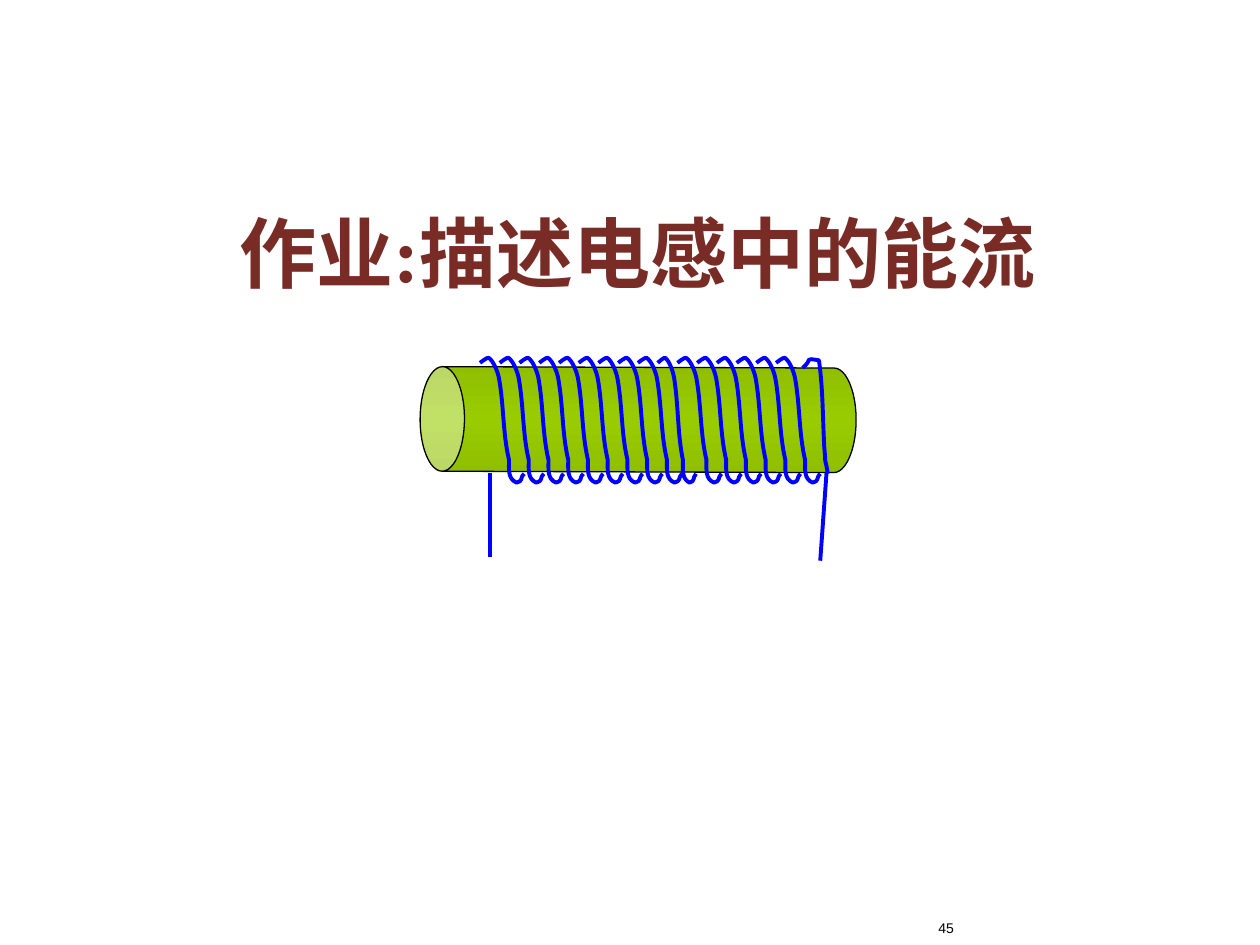
from dataclasses import dataclass

import lxml.etree
import pptx
import pptx.dml.color
import pptx.enum.shapes
import pptx.enum.text
import pptx.oxml
import pptx.oxml.ns
import pptx.util

Inches = pptx.util.Inches
Pt = pptx.util.Pt
Align = pptx.enum.text.PP_ALIGN
Anchor = pptx.enum.text.MSO_ANCHOR
qn = pptx.oxml.ns.qn

COLORS = {"title": "792B25", "text": "000000", "wire": "0000FF",
          "edge": "8FBF00", "core": "99CC00"}
TURNS = 16
PITCH = 2.35 / (TURNS - 1)
LEFT, TOP = 3.81, 2.83
NARROW = 9  # index of the one tighter turn

# Start point, then two controls and an end for each curve
TURN = [(0, .05),
        (0, .05), (.06, 0), (.07, .01),
        (.11, .04), (.14, .12), (.15, .17),
        (.19, .39), (.18, .61), (.23, .82),
        (.23, .9), (.22, .97), (.29, 1),
        (.35, .98), (.31, .97), (.35, .93)]
LAST = [(6.37, 2.92),
        (6.46, 2.85), (6.37, 2.84), (6.5, 2.86),
        (6.53, 3.07), (6.53, 3.29), (6.54, 3.5),
        (6.54, 3.55), (6.55, 3.61), (6.55, 3.66),
        (6.56, 3.69), (6.57, 3.76), (6.57, 3.76)]


@dataclass
class Label:
    text: str
    box: tuple
    font: str
    size: int
    color: str
    bold: bool
    align: Align
    anchor: Anchor


@dataclass
class Lead:
    start: tuple
    end: tuple


LABELS = [
    Label("作业:描述电感中的能流", (.56, 1.46, 9, 1.08), "Times New Roman",
          44, "title", True, Align.CENTER, Anchor.MIDDLE),
    Label("45", (6.75, 7.25, .92, .25), "Arial",
          8, "text", False, Align.RIGHT, Anchor.TOP),
]
LEADS = [Lead((3.89, 3.75), (3.89, 4.42)), Lead((6.56, 3.75), (6.51, 4.45))]


def paint(name: str) -> pptx.dml.color.RGBColor:
    return pptx.dml.color.RGBColor.from_string(COLORS[name])


def add_label(slide, label: Label) -> None:
    box = slide.shapes.add_textbox(*map(Inches, label.box))
    frame = box.text_frame
    frame.word_wrap = True
    frame.vertical_anchor = label.anchor
    para = frame.paragraphs[0]
    para.alignment = label.align
    run = para.add_run()
    run.text = label.text
    font = run.font
    font.name, font.size, font.bold = label.font, Pt(label.size), label.bold
    font.color.rgb = paint(label.color)


def add_core(slide) -> None:
    can = slide.shapes.add_shape(
        pptx.enum.shapes.MSO_SHAPE.CAN,
        Inches(4.65), Inches(1.6), Inches(.83), Inches(3.46))
    can.adjustments[0] = .424
    can.rotation = 270.2
    can.shadow.inherit = False
    can.line.color.rgb = paint("text")
    can.line.width = Pt(.75)
    # Three stops across the can, turning with it
    can.fill.gradient()
    grad = can._element.spPr.find(qn("a:gradFill"))
    stops = "".join(
        f'<a:gs pos="{pos}"><a:srgbClr val="{COLORS[name]}"/></a:gs>'
        for pos, name in ((0, "edge"), (50000, "core"), (100000, "edge")))
    new = pptx.oxml.parse_xml(
        f'<a:gradFill {pptx.oxml.ns.nsdecls("a")} rotWithShape="1">'
        f'<a:gsLst>{stops}</a:gsLst><a:lin ang="0" scaled="1"/>'
        '</a:gradFill>')
    grad.getparent().replace(grad, new)


def style_wire(shape) -> None:
    shape.line.color.rgb = paint("wire")
    shape.line.width = Pt(2.25)


def add_curve(slide, nodes: list) -> None:
    points = [(Inches(x), Inches(y)) for x, y in nodes]
    path = slide.shapes.build_freeform(*points[0])
    path.add_line_segments(points[3::3], close=False)
    curve = path.convert_to_shape()
    # Bend each segment by its two controls
    for i, line in enumerate(list(curve._element.iter(qn("a:lnTo")))):
        bend = lxml.etree.Element(qn("a:cubicBezTo"))
        for x, y in points[3 * i + 1:3 * i + 4]:
            lxml.etree.SubElement(bend, qn("a:pt"), x=str(x - curve.left),
                                  y=str(y - curve.top))
        line.getparent().replace(line, bend)
    curve.fill.background()
    curve.shadow.inherit = False
    style_wire(curve)


def add_lead(slide, lead: Lead) -> None:
    wire = slide.shapes.add_connector(
        pptx.enum.shapes.MSO_CONNECTOR.STRAIGHT,
        *map(Inches, lead.start + lead.end))
    style_wire(wire)
    lxml.etree.SubElement(wire._element.spPr, qn("a:effectLst"))


def main() -> None:
    deck = pptx.Presentation()
    deck.slide_width, deck.slide_height = Inches(10), Inches(7.5)
    slide = deck.slides.add_slide(deck.slide_layouts[6])

    # Title and page number
    for label in LABELS:
        add_label(slide, label)

    # Coil: core, turns and leads
    add_core(slide)
    for i in range(TURNS):
        scale = .87 if i == NARROW else 1
        add_curve(slide, [(LEFT + i * PITCH + x * scale, TOP + y)
                          for x, y in TURN])
    add_curve(slide, LAST)
    for lead in LEADS:
        add_lead(slide, lead)

    deck.save("out.pptx")


if __name__ == "__main__":
    main()
